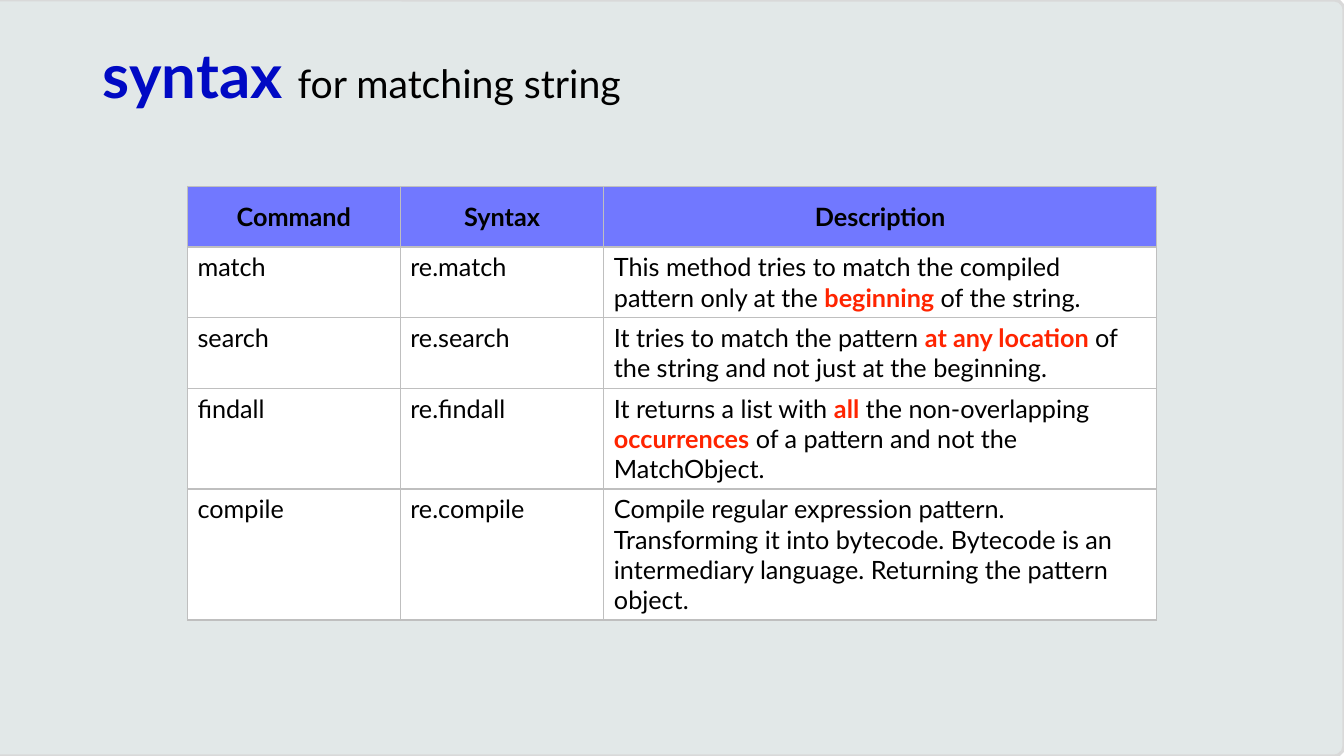
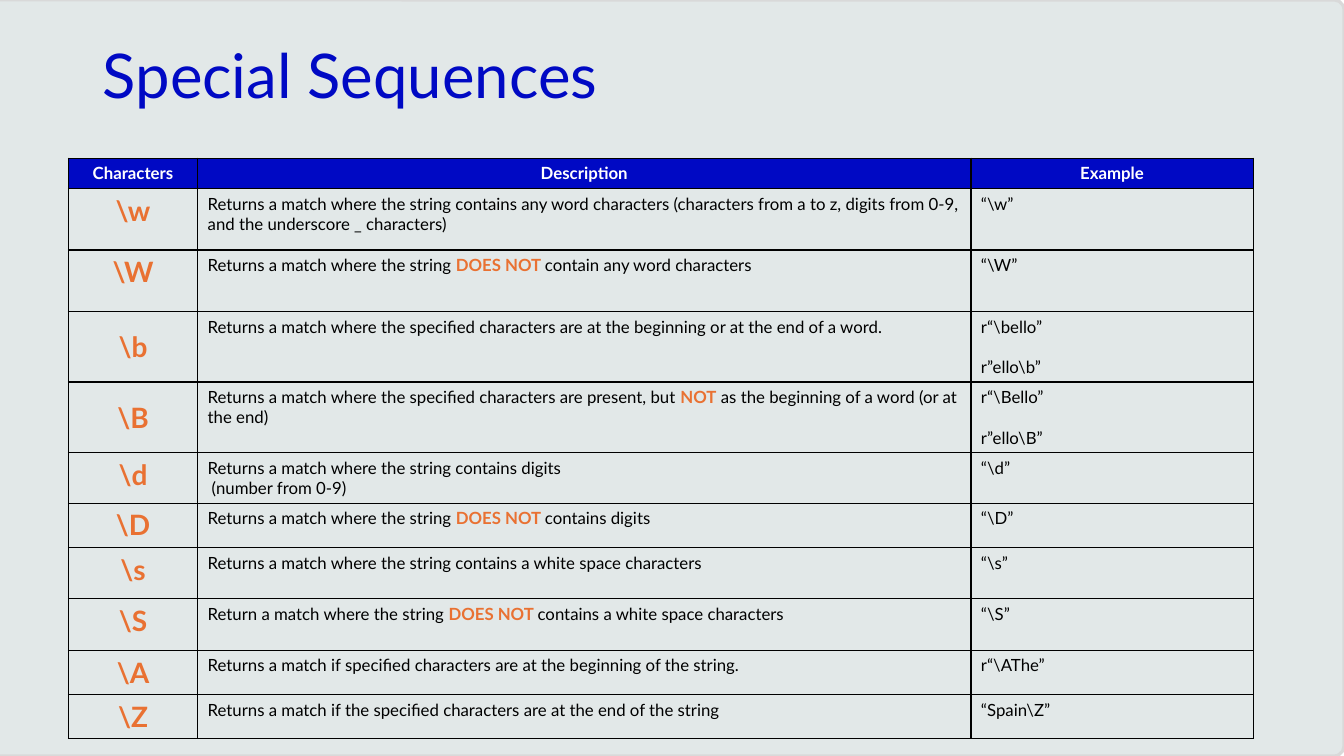
"""Build two slides with reference tables on regular expressions."""
from lxml.etree import SubElement
from pptx import Presentation
from pptx.dml.color import RGBColor
from pptx.enum.shapes import MSO_SHAPE
from pptx.enum.text import MSO_ANCHOR, PP_ALIGN
from pptx.oxml.ns import qn
from pptx.util import Inches, Pt

FONT = "Lato"
BLUE = RGBColor(0x00, 0x09, 0xC4)
PERIWINKLE = RGBColor(0x71, 0x78, 0xFF)
RED = RGBColor(0xFF, 0x24, 0x00)
ORANGE = RGBColor(0xE9, 0x71, 0x32)
BLACK = RGBColor(0x00, 0x00, 0x00)
WHITE = RGBColor(0xFF, 0xFF, 0xFF)
PANEL = RGBColor(0xE2, 0xE8, 0xE8)
PANEL_EDGE = RGBColor(0xD9, 0xD9, 0xD9)
GRAY = RGBColor(0xBF, 0xBF, 0xBF)


def write(para, text, size, color, bold=False, accent=None):
    """Fill a paragraph; parts between asterisks are bold in the accent colour."""
    para.font.name, para.font.size = FONT, Pt(size)
    para.font.color.rgb, para.font.bold = color, bold
    for number, part in enumerate(text.split("*")):
        if part:
            span = para.add_run()
            span.text = part
            if number % 2:
                span.font.color.rgb, span.font.bold = accent, True


def add_grid(page, left, top, widths, heights, edge):
    """Add a plain table with thin borders of one colour."""
    frame = page.shapes.add_table(
        len(heights), len(widths), Inches(left), Inches(top),
        Inches(sum(widths)), Inches(sum(heights)))
    table = frame.table
    table.first_row = table.horz_banding = False
    for column, width in zip(table.columns, widths):
        column.width = Inches(width)
    for row, height in zip(table.rows, heights):
        row.height = Inches(height)
    for cell in table.iter_cells():
        properties = cell._tc.get_or_add_tcPr()
        for side in ("a:lnL", "a:lnR", "a:lnT", "a:lnB"):
            line = SubElement(properties, qn(side), w=str(Pt(1)))
            fill = SubElement(line, qn("a:solidFill"))
            SubElement(fill, qn("a:srgbClr"), val=str(edge))
    return table


deck = Presentation()
deck.slide_width, deck.slide_height = Inches(13.33), Inches(7.5)
layout = deck.slide_layouts[5]
title_area = layout.placeholders[0]
title_area.left, title_area.top = Inches(0.92), Inches(0.4)
title_area.width, title_area.height = Inches(11.5), Inches(1.45)
title_area.text_frame.vertical_anchor = MSO_ANCHOR.TOP

pages = [deck.slides.add_slide(layout) for _ in range(2)]
panel = pages[0].shapes.add_shape(
    MSO_SHAPE.ROUNDED_RECTANGLE, Inches(-0.12), 0, Inches(13.45), Inches(7.5))
panel.adjustments[0] = 0.013
panel.shadow.inherit = False
panel.fill.solid()
panel.fill.fore_color.rgb = PANEL
panel.line.color.rgb, panel.line.width = PANEL_EDGE, Pt(2.25)
layout.shapes.element.insert(2, panel.element)

for page, heading in zip(pages, ("*syntax *for matching string", "Special Sequences")):
    para = page.shapes.title.text_frame.paragraphs[0]
    para.alignment, para.line_spacing = PP_ALIGN.LEFT, 0.9
    write(para, heading, 44, BLUE, accent=BLUE)
subtitle = pages[0].shapes.title.text_frame.paragraphs[0].runs[1]
subtitle.font.size, subtitle.font.color.rgb = Pt(28), BLACK

commands = [
    ("Command", "Syntax", "Description"),
    ("match", "re.match",
     "This method tries to match the compiled pattern only at the *beginning* of the string."),
    ("search", "re.search",
     "It tries to match the pattern *at any location *of the string and not just at the beginning."),
    ("findall", "re.findall",
     "It returns a list with *all* the non-overlapping *occurrences* of a pattern "
     "and not the MatchObject."),
    ("compile", "re.compile",
     "Compile regular expression pattern. Transforming it into bytecode. Bytecode is an "
     "intermediary language. Returning the pattern object."),
]
table = add_grid(pages[0], 1.86, 1.85, [2.11, 2.02, 5.48], [0.6, 0.7, 0.7, 1, 1.3], GRAY)
for row, texts in enumerate(commands):
    for column, text in enumerate(texts):
        header = row == 0
        cell = table.cell(row, column)
        cell.fill.solid()
        cell.fill.fore_color.rgb = PERIWINKLE if header else WHITE
        para = cell.text_frame.paragraphs[0]
        if header:
            cell.vertical_anchor = MSO_ANCHOR.MIDDLE
            para.alignment = PP_ALIGN.CENTER
        write(para, text, 18, BLACK, header, RED)

sequences = [
    ("Characters", "Description", "Example"),
    (r"\w", "Returns a match where the string contains any word characters "
     "(characters from a to z, digits from 0-9, and the underscore _ characters)", r"“\w”"),
    (r"\W", "Returns a match where the string *DOES NOT *contain any word characters", r"“\W”"),
    (r"\b", "Returns a match where the specified characters are at the beginning "
     "or at the end of a word.", "r“\\bello”\nr”ello\\b”"),
    (r"\B", "Returns a match where the specified characters are present, but *NOT* "
     "as the beginning of a word (or at the end)", "r“\\Bello”\nr”ello\\B”"),
    (r"\d", "Returns a match where the string contains digits\n(number from 0-9)", r"“\d”"),
    (r"\D", "Returns a match where the string *DOES NOT *contains digits", r"“\D”"),
    (r"\s", "Returns a match where the string contains a white space characters", r"“\s”"),
    (r"\S", "Return a match where the string *DOES NOT *contains a white space characters",
     r"“\S”"),
    (r"\A", "Returns a match if specified characters are at the beginning of the string.",
     r"r“\AThe”"),
    (r"\Z", "Returns a match if the specified characters are at the end of the string",
     r"“Spain\Z”"),
]
heights = [0.3, 0.61, 0.61, 0.7, 0.7, 0.5, 0.44, 0.51, 0.51, 0.44, 0.44]
table = add_grid(pages[1], 0.68, 1.57, [1.28, 7.67, 2.8], heights, BLACK)
for row, texts in enumerate(sequences):
    for column, text in enumerate(texts):
        header, symbol = row == 0, column == 0
        cell = table.cell(row, column)
        if header:
            cell.fill.solid()
            cell.fill.fore_color.rgb = BLUE
        else:
            cell.fill.background()
        if symbol and text in (r"\b", r"\B", r"\A"):
            cell.vertical_anchor = MSO_ANCHOR.MIDDLE
        for number, line in enumerate(text.split("\n")):
            frame = cell.text_frame
            para = frame.add_paragraph() if number else frame.paragraphs[0]
            if header or symbol:
                para.alignment = PP_ALIGN.CENTER
            if number and column == 2:
                para.space_before = Pt(14.4)
            elif number:
                para._p.get_or_add_pPr().set("marL", str(Inches(0.04)))
            if header:
                write(para, line, 12, WHITE, True)
            elif symbol:
                write(para, line, 20, ORANGE, True)
            else:
                write(para, line, 12, BLACK, accent=ORANGE)

deck.save("out.pptx")
